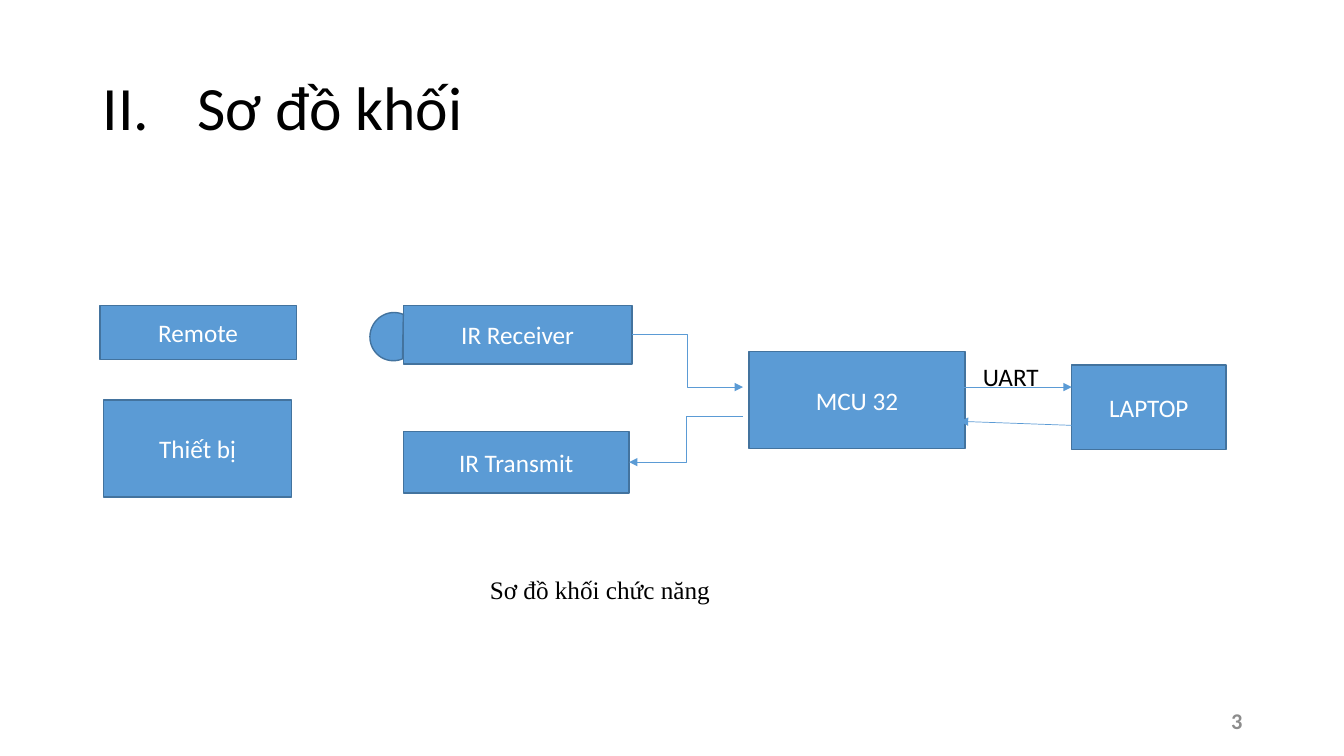
from dataclasses import dataclass

from lxml import etree
from pptx import Presentation
from pptx import util as u
from pptx.dml.color import RGBColor
from pptx.enum import shapes, text
from pptx.oxml.ns import qn

Inches = u.Inches


@dataclass(frozen=True)
class Theme:
    black: RGBColor = RGBColor(0x00, 0x00, 0x00)
    white: RGBColor = RGBColor(0xFF, 0xFF, 0xFF)
    grey: RGBColor = RGBColor(0x8C, 0x8C, 0x8C)
    blue: RGBColor = RGBColor(0x5B, 0x9B, 0xD5)
    outline: RGBColor = RGBColor(0x43, 0x73, 0x9E)
    font: str = "Calibri"
    caption_font: str = "Times New Roman"
    title_size: int = 44
    body_size: int = 18
    number_size: int = 16


THEME = Theme()


def write(frame, words, color, size=THEME.body_size, font=THEME.font):
    """Put one paragraph in a frame and return it."""
    frame.text = words
    paragraph = frame.paragraphs[0]
    run_font = paragraph.runs[0].font
    run_font.name = font
    run_font.size = u.Pt(size)
    run_font.color.rgb = color
    return paragraph


def add_label(slide, box, words, color=THEME.black, wrap=True,
              anchor=text.MSO_ANCHOR.TOP, **style):
    frame = slide.shapes.add_textbox(*map(Inches, box)).text_frame
    frame.word_wrap = wrap
    frame.vertical_anchor = anchor
    return write(frame, words, color, **style)


def add_solid(slide, preset, box):
    solid = slide.shapes.add_shape(preset, *map(Inches, box))
    solid.shadow.inherit = False
    solid.fill.solid()
    solid.fill.fore_color.rgb = THEME.blue
    solid.line.color.rgb = THEME.outline
    solid.line.width = u.Pt(1)
    return solid


def add_block(slide, box, words):
    block = add_solid(slide, shapes.MSO_SHAPE.RECTANGLE, box)
    frame = block.text_frame
    frame.word_wrap = True
    frame.vertical_anchor = text.MSO_ANCHOR.MIDDLE
    write(frame, words, THEME.white).alignment = text.PP_ALIGN.CENTER
    return block


def add_arrow(slide, start, end, kind=shapes.MSO_CONNECTOR.STRAIGHT):
    arrow = slide.shapes.add_connector(kind, *map(Inches, start + end))
    arrow.line.color.rgb = THEME.blue
    arrow.line.width = u.Pt(0.5)
    etree.SubElement(arrow.line._get_or_add_ln(), qn("a:tailEnd"), type="triangle")
    etree.SubElement(arrow._element.spPr, qn("a:effectLst"))
    return arrow


def add_title(slide, words):
    title = add_label(slide, (0.92, 0.37, 11.5, 1.45), words,
                      anchor=text.MSO_ANCHOR.MIDDLE, size=THEME.title_size)
    # Roman numbering, starting at II
    properties = title._p.get_or_add_pPr()
    properties.set("marL", str(Inches(0.94)))
    properties.set("indent", str(Inches(-0.94)))
    etree.SubElement(properties, qn("a:buFont"), typeface=THEME.font)
    etree.SubElement(properties, qn("a:buAutoNum"), type="romanUcPeriod", startAt="2")
    title.line_spacing = 0.9
    title.font.size = u.Pt(THEME.title_size)


def main():
    deck = Presentation()
    deck.slide_width, deck.slide_height = Inches(13.33), Inches(7.5)
    slide = deck.slides.add_slide(deck.slide_layouts[6])

    # Title and page number
    add_title(slide, "Sơ đồ khối")
    page_number = add_label(slide, (9.42, 6.95, 3, 0.4), "3", THEME.grey,
                            anchor=text.MSO_ANCHOR.MIDDLE, size=THEME.number_size)
    page_number.alignment = text.PP_ALIGN.RIGHT
    page_number.runs[0].font.bold = True

    # Blocks
    add_block(slide, (0.99, 3.03, 1.95, 0.54), "Remote")
    receiver = add_block(slide, (4, 3.03, 2.27, 0.58), "IR Receiver")
    transmitter = add_block(slide, (4, 4.28, 2.24, 0.61), "IR Transmit")
    add_block(slide, (7.43, 3.49, 2.14, 0.96), "MCU 32")
    add_block(slide, (10.63, 3.62, 1.53, 0.84), "LAPTOP")
    add_block(slide, (1.03, 3.97, 1.86, 0.96), "Thiết bị")

    # Infrared sensor on the receiver
    sensor = add_solid(slide, shapes.MSO_SHAPE.CHORD, (3.67, 3.1, 0.47, 0.48))
    sensor.rotation = 23.5

    # Signals between the infrared blocks and the controller
    elbow = shapes.MSO_CONNECTOR.ELBOW
    received = add_arrow(slide, (6.27, 3.32), (7.37, 3.84), elbow)
    received.begin_connect(receiver, 3)
    sent = add_arrow(slide, (7.37, 4.13), (6.24, 4.59), elbow)
    sent.end_connect(transmitter, 3)

    # Serial link between the controller and the laptop
    add_arrow(slide, (9.47, 3.84), (10.63, 3.84))
    add_arrow(slide, (10.63, 4.22), (9.52, 4.18))
    add_label(slide, (9.65, 3.54, 1.16, 0.4), "UART")

    # Caption
    add_label(slide, (4.76, 5.65, 2.47, 0.4), "Sơ đồ khối chức năng",
              wrap=False, font=THEME.caption_font)

    deck.save("out.pptx")


if __name__ == "__main__":
    main()
